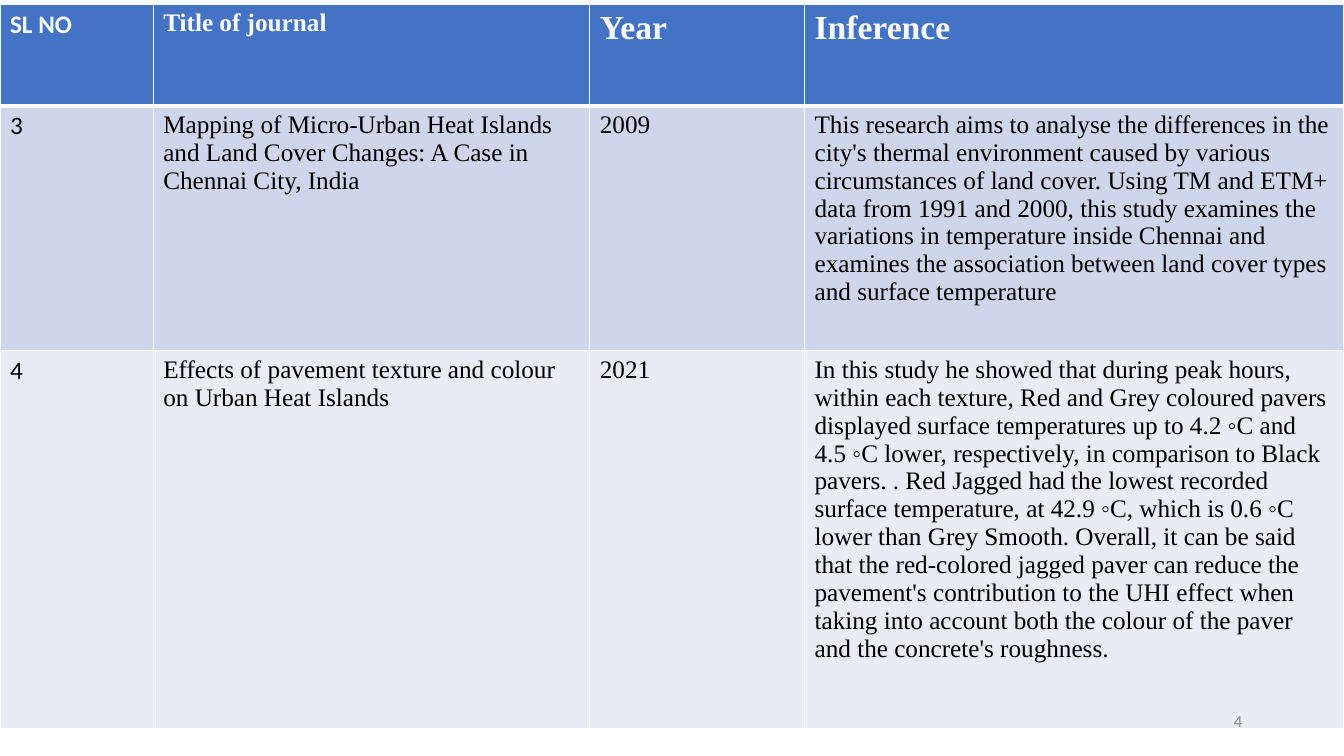
from lxml.etree import SubElement
from pptx import Presentation
from pptx.dml.color import RGBColor
from pptx.enum.text import MSO_ANCHOR, PP_ALIGN
from pptx.oxml.ns import qn
from pptx.util import Inches, Pt

COLORS = {
    "header": "4472C4",
    "band_dark": "CFD5EA",
    "band_light": "E9EBF5",
    "white": "FFFFFF",
    "black": "000000",
    "grey": "8C8C8C",
}
SANS, SERIF = "Calibri", "Times New Roman"

COLUMN_WIDTHS = [1.52, 4.33, 2.13, 5.35]
ROW_HEIGHTS = [1.01, 2.43, 3.75]
ROW_FILLS = ["header", "band_dark", "band_light"]
JOURNALS = [
    ["SL NO", "Title of journal", "Year", "Inference"],
    [
        "3",
        "Mapping of Micro-Urban Heat Islands and Land Cover Changes: "
        "A Case in Chennai City, India",
        "2009",
        "This research aims to analyse the differences in the city's thermal "
        "environment caused by various circumstances of land cover. Using TM "
        "and ETM+ data from 1991 and 2000, this study examines the variations "
        "in temperature inside Chennai and examines the association between "
        "land cover types and surface temperature",
    ],
    [
        "4",
        "Effects of pavement texture and colour on Urban Heat Islands",
        "2021",
        "In this study he showed that during peak hours, within each texture, "
        "Red and Grey coloured pavers displayed surface temperatures up to "
        "4.2 ◦C and 4.5 ◦C lower, respectively, in comparison to Black pavers. "
        ". Red Jagged had the lowest recorded surface temperature, at 42.9 ◦C, "
        "which is 0.6 ◦C lower than Grey Smooth. Overall, it can be said that "
        "the red-colored jagged paver can reduce the pavement's contribution "
        "to the UHI effect when taking into account both the colour of the "
        "paver and the concrete's roughness.",
    ],
]


def write_text(tf, text, size=18, font=SERIF, color="black", bold=False,
               align=PP_ALIGN.LEFT):
    p = tf.paragraphs[0]
    p.alignment = align
    r = p.add_run()
    r.text = text
    r.font.size = Pt(size)
    r.font.name = font
    r.font.bold = bold
    r.font.color.rgb = RGBColor.from_string(COLORS[color])


def set_borders(cell, color, **widths):
    """Draw the cell's sides L, R, T and B at the given widths in points."""
    tc_pr = cell._tc.get_or_add_tcPr()
    for side, width in widths.items():
        ln = SubElement(tc_pr, qn(f"a:ln{side}"), w=str(Pt(width)))
        fill = SubElement(ln, qn("a:solidFill"))
        SubElement(fill, qn("a:srgbClr"), val=COLORS[color])


class JournalSlide:
    def __init__(self, prs):
        self.s = prs.slides.add_slide(prs.slide_layouts[6])

    def add_table(self, left, top, rows):
        table = self.s.shapes.add_table(
            len(rows), len(COLUMN_WIDTHS), Inches(left), Inches(top),
            Inches(sum(COLUMN_WIDTHS)), Inches(sum(ROW_HEIGHTS))).table
        for column, width in zip(table.columns, COLUMN_WIDTHS):
            column.width = Inches(width)
        for i, texts in enumerate(rows):
            table.rows[i].height = Inches(ROW_HEIGHTS[i])
            for j, text in enumerate(texts):
                self.format_cell(table.cell(i, j), text, i, j)

    def format_cell(self, cell, text, row, column):
        header = row == 0
        set_borders(cell, "white", L=1, R=1, T=3 if row == 1 else 1,
                    B=3 if header else 1)
        cell.fill.solid()
        cell.fill.fore_color.rgb = RGBColor.from_string(COLORS[ROW_FILLS[row]])
        write_text(cell.text_frame, text,
                   size=24 if header and column >= 2 else 18,
                   font=SANS if column == 0 else SERIF,
                   color="white" if header else "black", bold=header)

    def add_text(self, text, left, top, width, height, **style):
        sp = self.s.shapes.add_textbox(Inches(left), Inches(top),
                                       Inches(width), Inches(height))
        tf = sp.text_frame
        tf.word_wrap = True
        tf.vertical_anchor = MSO_ANCHOR.MIDDLE
        write_text(tf, text, **style)


def main():
    prs = Presentation()
    prs.slide_width, prs.slide_height = Inches(13.33), Inches(7.5)
    slide = JournalSlide(prs)
    slide.add_table(0, 0.04, JOURNALS)
    slide.add_text("4", 9.42, 6.95, 3, 0.4, size=12, font=SANS, color="grey",
                   align=PP_ALIGN.RIGHT)
    prs.save("out.pptx")


if __name__ == "__main__":
    main()
